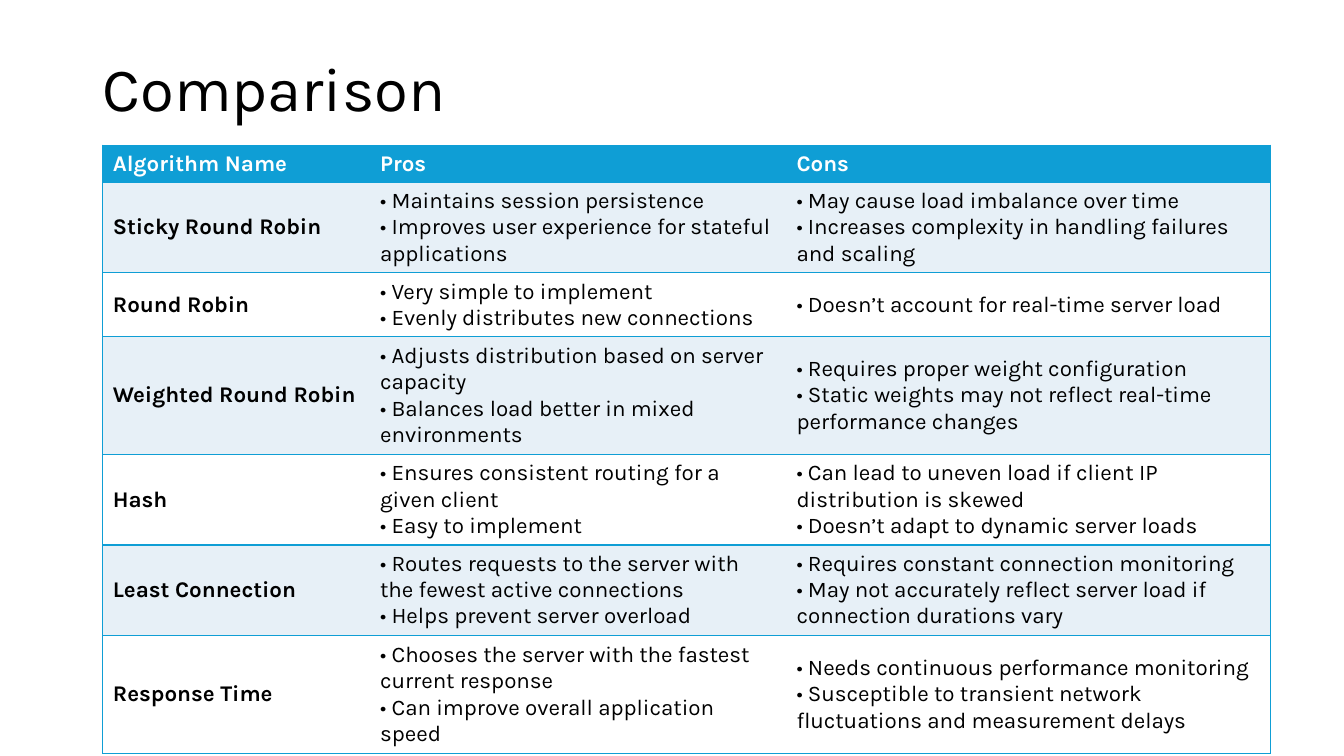
from lxml.etree import fromstring
from pptx import Presentation
from pptx.dml.color import RGBColor
from pptx.enum.text import MSO_ANCHOR
from pptx.util import Inches, Pt

FONT = "Karla"
BLUE = RGBColor(0x0F, 0x9E, 0xD5)
PALE = RGBColor(0xE7, 0xF0, 0xF7)
WHITE = RGBColor(0xFF, 0xFF, 0xFF)
BLACK = RGBColor(0, 0, 0)
NS = "http://schemas.openxmlformats.org/drawingml/2006/main"

TITLE = "Comparison"
HEADER = ("Algorithm Name", "Pros", "Cons")
# Name, pros, cons
ALGORITHMS = [
    ("Sticky Round Robin",
     ["Maintains session persistence",
      "Improves user experience for stateful applications"],
     ["May cause load imbalance over time",
      "Increases complexity in handling failures and scaling"]),
    ("Round Robin",
     ["Very simple to implement", "Evenly distributes new connections"],
     ["Doesn’t account for real-time server load"]),
    ("Weighted Round Robin",
     ["Adjusts distribution based on server capacity",
      "Balances load better in mixed environments"],
     ["Requires proper weight configuration",
      "Static weights may not reflect real-time performance changes"]),
    ("Hash",
     ["Ensures consistent routing for a given client", "Easy to implement"],
     ["Can lead to uneven load if client IP distribution is skewed",
      "Doesn’t adapt to dynamic server loads"]),
    ("Least Connection",
     ["Routes requests to the server with the fewest active connections",
      "Helps prevent server overload"],
     ["Requires constant connection monitoring",
      "May not accurately reflect server load if connection durations vary"]),
    ("Response Time",
     ["Chooses the server with the fastest current response",
      "Can improve overall application speed"],
     ["Needs continuous performance monitoring",
      "Susceptible to transient network fluctuations and measurement delays"]),
]
COL_WIDTHS = (2.65, 4.13, 4.8)
ROW_LINES = (1, 3, 2, 4, 3, 3, 4)
LINE_HEIGHT, ROW_PADDING = 0.26, 0.1
TABLE_LEFT, TABLE_TOP = 1.02, 1.44


def style(p, size, color, bold=False):
    p.font.name, p.font.size, p.font.bold = FONT, Pt(size), bold
    p.font.color.rgb = color


def bulleted(points):
    """Join points as bulleted lines within one paragraph."""
    return "\v".join(f"• {point}" for point in points)


def set_borders(cell, visible):
    """Draw the visible sides (letters of LRTB) in blue and clear the rest."""
    for i, side in enumerate("LRTB"):
        fill = (f'<a:solidFill><a:srgbClr val="{BLUE}"/></a:solidFill>'
                if side in visible else "<a:noFill/>")
        line = f'<a:ln{side} xmlns:a="{NS}" w="{Pt(1)}">{fill}</a:ln{side}>'
        cell._tc.get_or_add_tcPr().insert(i, fromstring(line))


def add_title(slide):
    tf = slide.shapes.add_textbox(
        Inches(0.92), Inches(0.18), Inches(11.5), Inches(1.45)).text_frame
    tf.word_wrap = True
    tf.vertical_anchor = MSO_ANCHOR.MIDDLE
    p = tf.paragraphs[0]
    p.text = TITLE
    p.line_spacing = 0.9
    style(p, 44, BLACK)


def add_comparison(slide):
    rows = [HEADER] + [(name, bulleted(pros), bulleted(cons))
                       for name, pros, cons in ALGORITHMS]
    heights = [ROW_PADDING + LINE_HEIGHT * n for n in ROW_LINES]
    table = slide.shapes.add_table(
        len(rows), len(HEADER), Inches(TABLE_LEFT), Inches(TABLE_TOP),
        Inches(sum(COL_WIDTHS)), Inches(sum(heights))).table
    for column, width in zip(table.columns, COL_WIDTHS):
        column.width = Inches(width)
    for r, (row, height) in enumerate(zip(rows, heights)):
        table.rows[r].height = Inches(height)
        for c, text in enumerate(row):
            cell = table.cell(r, c)
            cell.vertical_anchor = MSO_ANCHOR.MIDDLE
            cell.fill.solid()
            cell.fill.fore_color.rgb = BLUE if r == 0 else PALE if r % 2 else WHITE
            set_borders(cell, ("LTB", "TB", "RTB")[c])
            p = cell.text_frame.paragraphs[0]
            p.text = text
            style(p, 16, BLACK if r else WHITE, bold=r == 0 or c == 0)


def main():
    prs = Presentation()
    prs.slide_width, prs.slide_height = Inches(13.33), Inches(7.5)
    slide = prs.slides.add_slide(prs.slide_layouts[6])
    add_title(slide)
    add_comparison(slide)
    prs.save("out.pptx")


if __name__ == "__main__":
    main()
